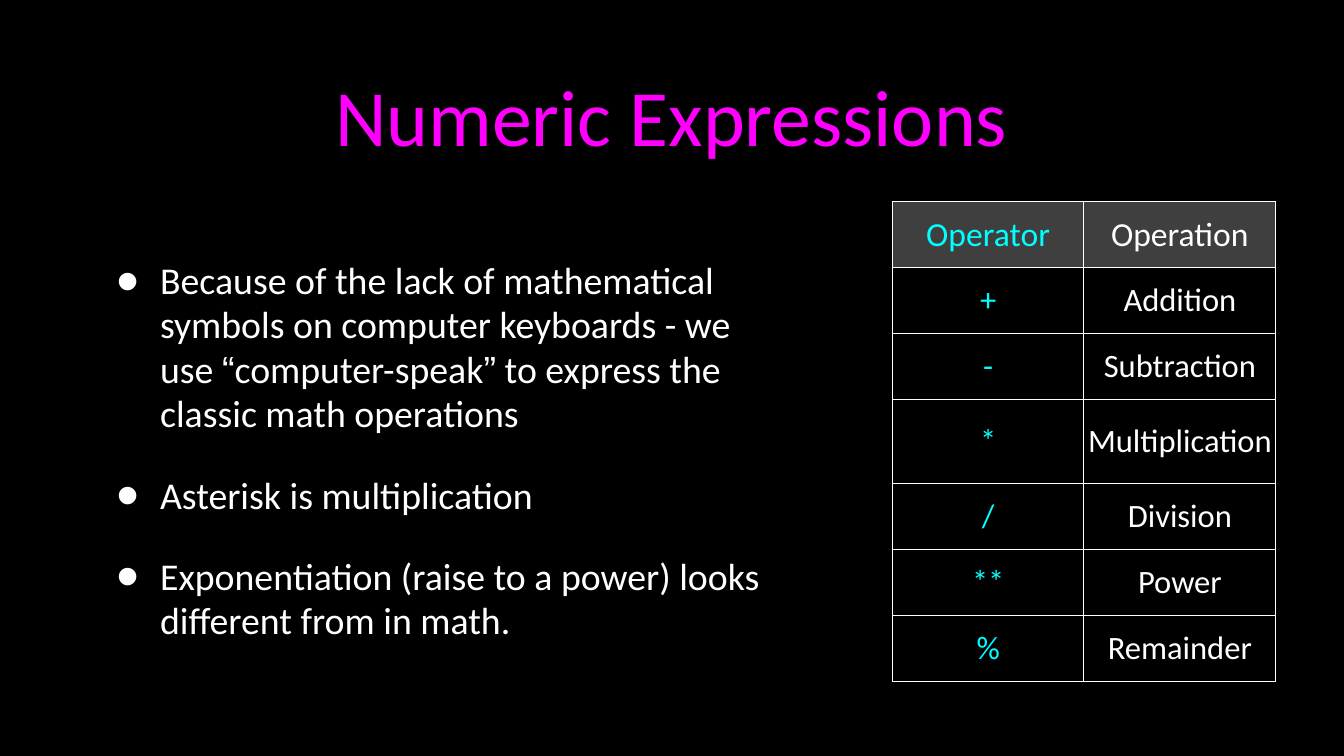
"""Build the Numeric Expressions slide with its bullet list and operator table."""
from dataclasses import dataclass

import pptx
import pptx.dml.color
import pptx.enum.text
import pptx.oxml
import pptx.oxml.ns
import pptx.util
from lxml import etree

Cm = pptx.util.Cm
Pt = pptx.util.Pt
RGBColor = pptx.dml.color.RGBColor
MIDDLE = pptx.enum.text.MSO_ANCHOR.MIDDLE
CENTER = pptx.enum.text.PP_ALIGN.CENTER

BLACK = RGBColor(0x00, 0x00, 0x00)
WHITE = RGBColor(0xFF, 0xFF, 0xFF)
MAGENTA = RGBColor(0xFF, 0x00, 0xFF)
CYAN = RGBColor(0x00, 0xFF, 0xFF)
GRAY = RGBColor(0x7F, 0x7F, 0x7F)

BODY_FONT = "Calibri"
QUOTE_FONT = "Arial"
INSET = Cm(0.1)
COLUMN_WIDTHS = (Cm(6.43), Cm(6.45))
ROW_HEIGHT = Cm(2.21)
TALL_ROW_HEIGHT = Cm(2.84)


@dataclass(frozen=True)
class Area:
    left: float
    top: float
    width: float
    height: float

    def lengths(self) -> tuple:
        return tuple(Cm(value) for value in (self.left, self.top, self.width, self.height))


@dataclass(frozen=True)
class Operator:
    symbol: str
    operation: str
    height: int = ROW_HEIGHT


TITLE_AREA = Area(3.2, 0.66, 38.71, 6.38)
BULLET_AREA = Area(3.2, 7.24, 23.06, 15.85)
TABLE_AREA = Area(29.99, 6.78, 12.88, 16.1)

BULLETS = (
    ("Because of the lack of mathematical symbols on computer keyboards - we use ",
     "“", "computer-speak", "”", " to express the classic math operations"),
    ("Asterisk is multiplication",),
    ("Exponentiation (raise to a power) looks different from in math.",),
)
OPERATORS = (
    Operator("Operator", "Operation"),
    Operator("+", "Addition"),
    Operator("-", "Subtraction"),
    Operator("*", "Multiplication", TALL_ROW_HEIGHT),
    Operator("/", "Division"),
    Operator("**", "Power"),
    Operator("%", "Remainder"),
)


def style(font, size: float, color: RGBColor, name: str = BODY_FONT) -> None:
    font.name = name
    font.size = Pt(size)
    font.color.rgb = color


def add_text_frame(page, area: Area):
    frame = page.shapes.add_textbox(*area.lengths()).text_frame
    frame.word_wrap = True
    frame.vertical_anchor = MIDDLE
    frame.margin_left = frame.margin_right = INSET
    frame.margin_top = frame.margin_bottom = INSET
    return frame


def add_title(page, text: str) -> None:
    frame = add_text_frame(page, TITLE_AREA)
    frame.text = text
    paragraph = frame.paragraphs[0]
    paragraph.alignment = CENTER
    style(paragraph.runs[0].font, 76, MAGENTA)


def set_bullet(paragraph) -> None:
    properties = paragraph._p.get_or_add_pPr()
    properties.set("marL", str(Cm(2.08)))
    properties.set("indent", str(Cm(-1.47)))
    color = etree.SubElement(properties, pptx.oxml.ns.qn("a:buClr"))
    etree.SubElement(color, pptx.oxml.ns.qn("a:srgbClr"), val=str(WHITE))
    etree.SubElement(properties, pptx.oxml.ns.qn("a:buSzPct"), val="171000")
    etree.SubElement(properties, pptx.oxml.ns.qn("a:buFont"), typeface=QUOTE_FONT)
    etree.SubElement(properties, pptx.oxml.ns.qn("a:buChar"), char="•")


def add_bullets(page, bullets: tuple) -> None:
    frame = add_text_frame(page, BULLET_AREA)
    for index, parts in enumerate(bullets):
        paragraph = frame.add_paragraph() if index else frame.paragraphs[0]
        set_bullet(paragraph)
        paragraph.line_spacing = 0.98
        if index:
            paragraph.space_before = Pt(35)
        for part in parts:
            span = paragraph.add_run()
            span.text = part
            style(span.font, 36, WHITE, QUOTE_FONT if part in "“”" else BODY_FONT)


def set_borders(cell) -> None:
    properties = cell._tc.get_or_add_tcPr()
    for index, side in enumerate(("lnL", "lnR", "lnT", "lnB")):
        border = pptx.oxml.parse_xml(
            f'<a:{side} {pptx.oxml.ns.nsdecls("a")} w="{Pt(0.96)}">'
            f'<a:solidFill><a:srgbClr val="{WHITE}"/></a:solidFill></a:{side}>'
        )
        properties.insert(index, border)


def fill_cell(cell, text: str, color: RGBColor, header: bool) -> None:
    cell.text_frame.text = text
    cell.vertical_anchor = MIDDLE
    cell.margin_left = cell.margin_right = INSET
    cell.margin_top = cell.margin_bottom = Cm(0.13)
    paragraph = cell.text_frame.paragraphs[0]
    paragraph.alignment = CENTER
    style(paragraph.runs[0].font, 32 if header else 31, color)
    if header:
        cell.fill.solid()
        cell.fill.fore_color.rgb = GRAY
        shade = cell._tc.tcPr.find(".//" + pptx.oxml.ns.qn("a:srgbClr"))
        etree.SubElement(shade, pptx.oxml.ns.qn("a:alpha"), val="50000")
    else:
        cell.fill.background()
    set_borders(cell)


def add_operator_table(page, operators: tuple) -> None:
    table = page.shapes.add_table(len(operators), 2, *TABLE_AREA.lengths()).table
    table.horz_banding = False
    for column, width in zip(table.columns, COLUMN_WIDTHS):
        column.width = width
    for index, operator in enumerate(operators):
        table.rows[index].height = operator.height
        fill_cell(table.cell(index, 0), operator.symbol, CYAN, index == 0)
        fill_cell(table.cell(index, 1), operator.operation, WHITE, index == 0)


def main() -> None:
    deck = pptx.Presentation()
    deck.slide_width = Cm(45.16)
    deck.slide_height = Cm(25.4)
    page = deck.slides.add_slide(deck.slide_layouts[6])
    page.background.fill.solid()
    page.background.fill.fore_color.rgb = BLACK
    add_title(page, "Numeric Expressions")
    add_bullets(page, BULLETS)
    add_operator_table(page, OPERATORS)
    deck.save("out.pptx")


if __name__ == "__main__":
    main()
